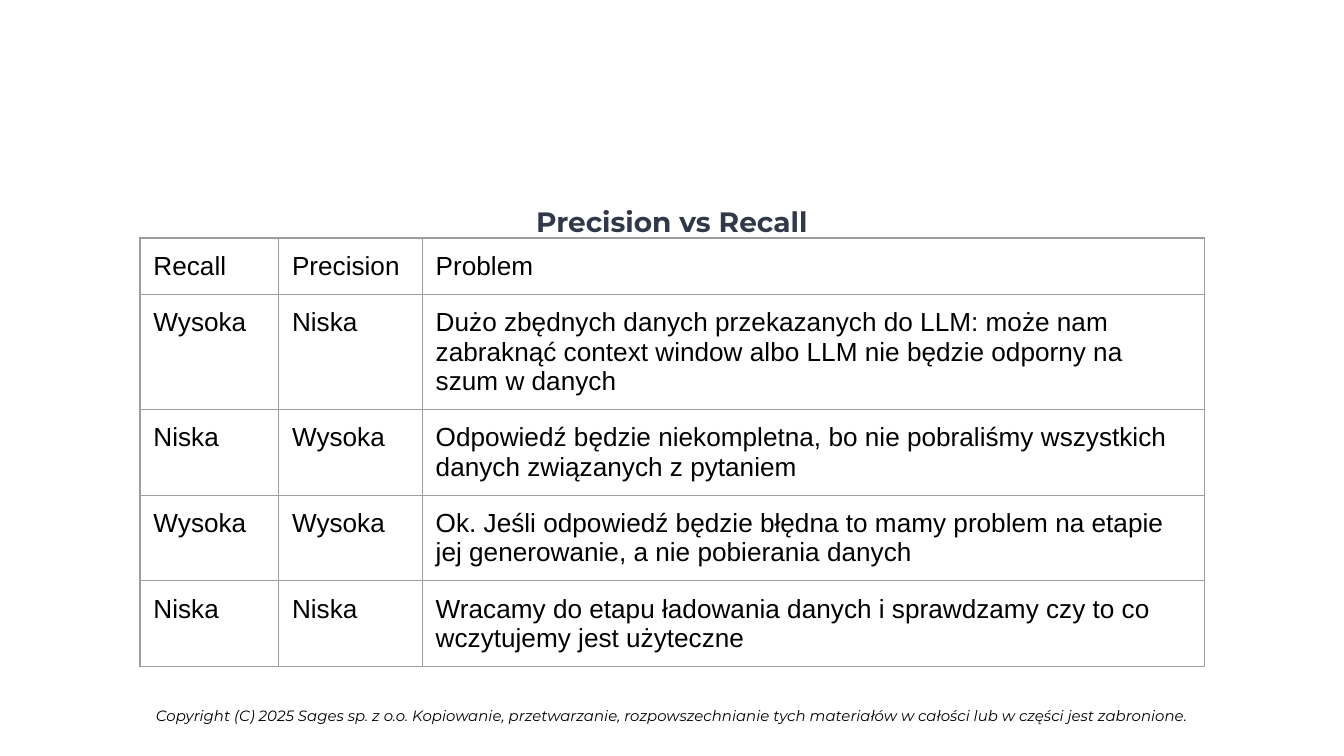
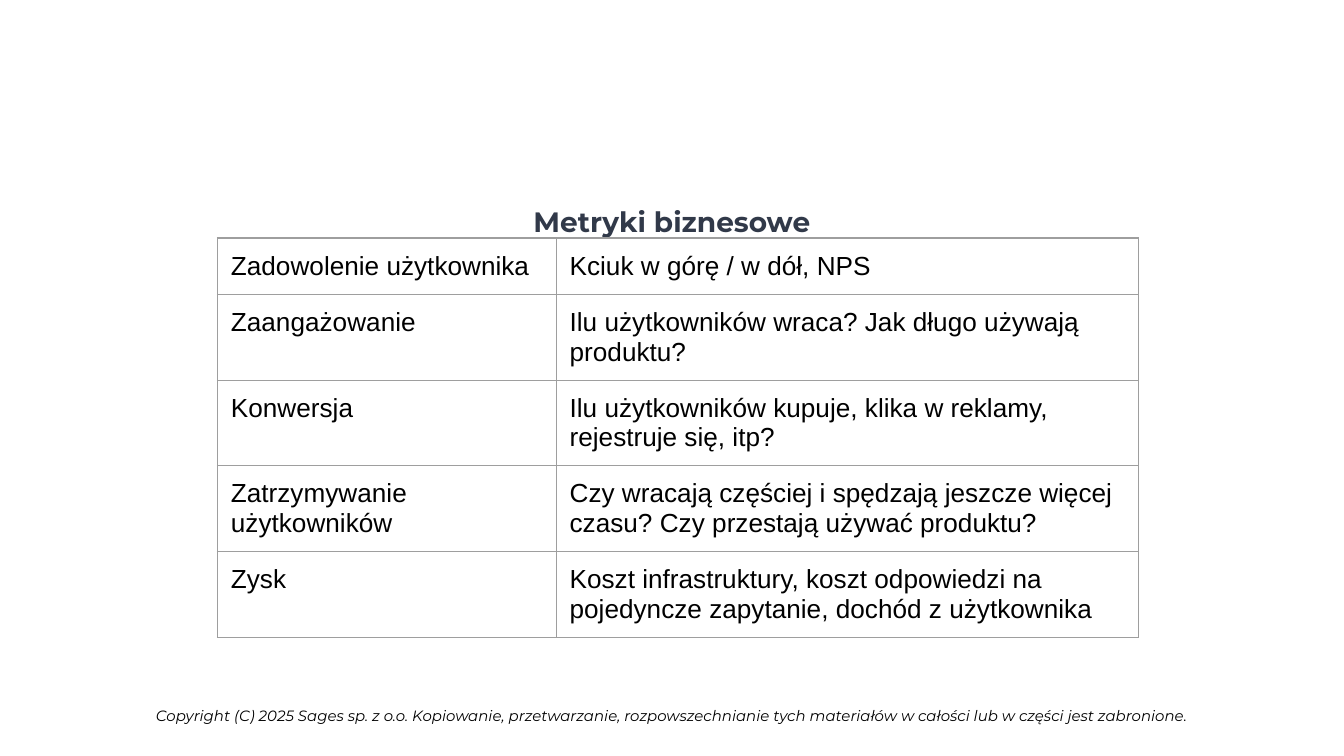
from dataclasses import dataclass
from typing import Any

import lxml.etree
import pptx
import pptx.dml.color
import pptx.enum.text
import pptx.oxml.ns
import pptx.util

Pt = pptx.util.Pt
RGBColor = pptx.dml.color.RGBColor

# Shared colours, sizes and formats
BLACK = RGBColor(0x00, 0x00, 0x00)
NAVY = RGBColor(0x31, 0x39, 0x49)
GREY = RGBColor(0x9E, 0x9E, 0x9E)

TITLE_FONT = {"name": "Montserrat", "size": Pt(15), "bold": True}
FOOTER_FONT = {"name": "Montserrat", "size": Pt(8), "italic": True}
CELL_FONT = {"name": "Arial", "size": Pt(14), "bold": False}

INSET = Pt(7.2)
TABLE_TOP = Pt(127.5)
ROW_HEIGHT = Pt(30.25)
BORDER_WIDTH = Pt(0.75)

FOOTER = (
    "Copyright (C) 2025 Sages sp. z o.o. Kopiowanie, przetwarzanie, rozpowszechnianie "
    "tych materiałów w całości lub w części jest zabronione."
)


@dataclass(frozen=True)
class Box:
    left: float
    top: float
    width: float
    height: float


@dataclass(frozen=True)
class TableSlide:
    title: str
    left: float
    column_widths: tuple[float, ...]
    rows: tuple[tuple[str, ...], ...]


TITLE_BOX = Box(100.8, 99.5, 518.4, 32.5)
FOOTER_BOX = Box(43, 371.5, 634.5, 21.5)

# Slide contents
SLIDES = (
    TableSlide(
        "Precision vs Recall",
        75,
        (74.25, 77, 419),
        (
            ("Recall", "Precision", "Problem"),
            ("Wysoka", "Niska",
             "Dużo zbędnych danych przekazanych do LLM: może nam zabraknąć context window "
             "albo LLM nie będzie odporny na szum w danych"),
            ("Niska", "Wysoka",
             "Odpowiedź będzie niekompletna, bo nie pobraliśmy wszystkich danych "
             "związanych z pytaniem"),
            ("Wysoka", "Wysoka",
             "Ok. Jeśli odpowiedź będzie błędna to mamy problem na etapie jej generowanie, "
             "a nie pobierania danych"),
            ("Niska", "Niska",
             "Wracamy do etapu ładowania danych i sprawdzamy czy to co wczytujemy "
             "jest użyteczne"),
        ),
    ),
    TableSlide(
        "Metryki biznesowe",
        116.5,
        (181.5, 311.75),
        (
            ("Zadowolenie użytkownika", "Kciuk w górę / w dół, NPS"),
            ("Zaangażowanie", "Ilu użytkowników wraca? Jak długo używają produktu?"),
            ("Konwersja", "Ilu użytkowników kupuje, klika w reklamy, rejestruje się, itp?"),
            ("Zatrzymywanie użytkowników",
             "Czy wracają częściej i spędzają jeszcze więcej czasu? "
             "Czy przestają używać produktu?"),
            ("Zysk",
             "Koszt infrastruktury, koszt odpowiedzi na pojedyncze zapytanie, "
             "dochód z użytkownika"),
        ),
    ),
)


def set_attributes(target: Any, values: dict[str, Any]) -> None:
    for name, value in values.items():
        setattr(target, name, value)


def write_text(holder: Any, text: str, font: dict[str, Any], color: RGBColor) -> Any:
    """Fill a shape or cell with one formatted paragraph and return it."""
    paragraph = holder.text_frame.paragraphs[0]
    run = paragraph.add_run()
    run.text = text
    set_attributes(run.font, font)
    run.font.color.rgb = color
    return paragraph


def write_centred(shape: Any, box: Box, text: str, font: dict[str, Any], color: RGBColor) -> Any:
    """Place a text shape and write its centred line."""
    set_attributes(shape, {
        "left": Pt(box.left), "top": Pt(box.top),
        "width": Pt(box.width), "height": Pt(box.height),
    })
    set_attributes(shape.text_frame, {
        "word_wrap": True,
        "vertical_anchor": pptx.enum.text.MSO_ANCHOR.TOP,
        "auto_size": pptx.enum.text.MSO_AUTO_SIZE.NONE,
        "margin_left": INSET, "margin_right": INSET,
        "margin_top": INSET, "margin_bottom": INSET,
    })
    paragraph = write_text(shape, text, font, color)
    paragraph.alignment = pptx.enum.text.PP_ALIGN.CENTER
    return paragraph


def add_borders(cell: Any) -> None:
    properties = cell._tc.get_or_add_tcPr()
    qualify = pptx.oxml.ns.qn
    for side in ("a:lnL", "a:lnR", "a:lnT", "a:lnB"):
        line = lxml.etree.SubElement(properties, qualify(side), w=str(BORDER_WIDTH))
        fill = lxml.etree.SubElement(line, qualify("a:solidFill"))
        lxml.etree.SubElement(fill, qualify("a:srgbClr"), val=str(GREY))


def add_grid(slide: Any, content: TableSlide) -> None:
    row_count = len(content.rows)
    table = slide.shapes.add_table(
        row_count, len(content.column_widths), Pt(content.left), TABLE_TOP,
        Pt(sum(content.column_widths)), ROW_HEIGHT * row_count,
    ).table
    set_attributes(table, {"first_row": False, "horz_banding": False})
    for column, width in zip(table.columns, content.column_widths):
        column.width = Pt(width)
    for row, texts in zip(table.rows, content.rows):
        row.height = ROW_HEIGHT
        for cell, text in zip(row.cells, texts):
            set_attributes(cell, {
                "margin_left": INSET, "margin_right": INSET,
                "margin_top": INSET, "margin_bottom": INSET,
            })
            add_borders(cell)
            cell.fill.background()
            write_text(cell, text, CELL_FONT, BLACK)


def add_table_slide(presentation: Any, content: TableSlide) -> None:
    slide = presentation.slides.add_slide(presentation.slide_layouts.get_by_name("Title Only"))
    # Footer
    footer = slide.shapes.add_textbox(0, 0, 0, 0)
    write_centred(footer, FOOTER_BOX, FOOTER, FOOTER_FONT, BLACK)
    # Title
    heading = write_centred(slide.shapes.title, TITLE_BOX, content.title, TITLE_FONT, NAVY)
    heading.line_spacing = 1.15
    # Table
    add_grid(slide, content)


def main() -> None:
    presentation = pptx.Presentation()
    set_attributes(presentation, {"slide_width": Pt(720), "slide_height": Pt(405)})
    for content in SLIDES:
        add_table_slide(presentation, content)
    presentation.save("out.pptx")


if __name__ == "__main__":
    main()
